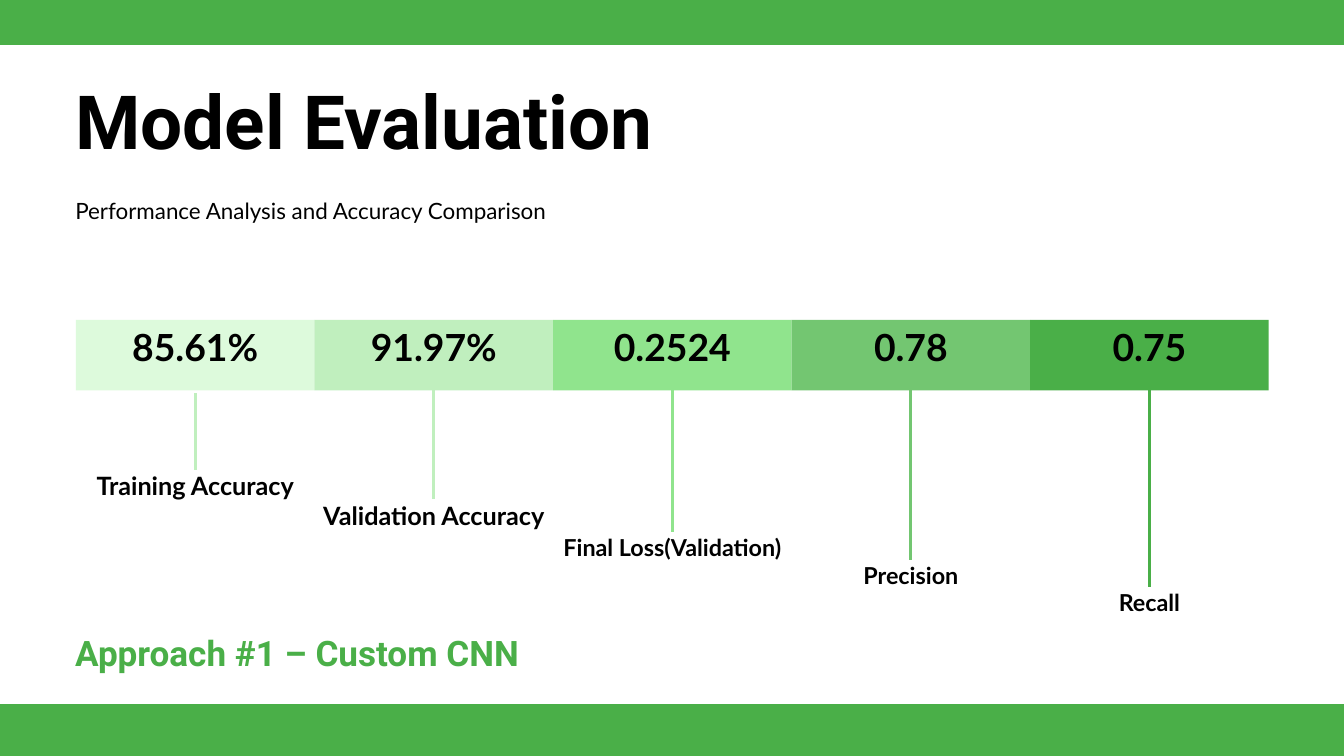
from dataclasses import dataclass

from lxml import etree
from pptx import Presentation
from pptx.dml.color import RGBColor
from pptx.enum.shapes import MSO_CONNECTOR, MSO_SHAPE
from pptx.enum.text import MSO_ANCHOR, PP_ALIGN
from pptx.oxml.ns import qn
from pptx.util import Inches, Pt

LINE = MSO_CONNECTOR.STRAIGHT
RECTANGLE = MSO_SHAPE.RECTANGLE
TOP, MIDDLE = MSO_ANCHOR.TOP, MSO_ANCHOR.MIDDLE
LEFT, CENTER = PP_ALIGN.LEFT, PP_ALIGN.CENTER


@dataclass(frozen=True)
class Theme:
    heading_font: str = "Roboto"
    body_font: str = "Lato"
    ink: str = "000000"
    green: str = "4AAF48"
    medium: str = "73C671"
    bright: str = "90E48D"
    soft: str = "C0EFBE"
    pale: str = "DDFADC"
    title: float = 80
    subtitle: float = 24
    value: float = 40
    large_label: float = 27
    small_label: float = 25
    approach: float = 37.6


theme = Theme()

prs = Presentation()
prs.slide_width, prs.slide_height = Inches(20), Inches(11.25)
slide = prs.slides.add_slide(prs.slide_layouts[6])


def add_text(text, left, top, width, height, size, spacing=1.4, font=theme.body_font,
             color=theme.ink, bold=True, align=CENTER, anchor=TOP, inset=0):
    frame = slide.shapes.add_textbox(
        Inches(left), Inches(top), Inches(width), Inches(height)).text_frame
    frame.word_wrap = True
    frame.vertical_anchor = anchor
    frame.margin_left = frame.margin_right = Inches(inset)
    frame.margin_top = frame.margin_bottom = Inches(inset)
    frame.text = text
    paragraph = frame.paragraphs[0]
    paragraph.alignment = align
    paragraph.line_spacing = Pt(size * spacing)
    run_font = paragraph.runs[0].font
    run_font.name, run_font.size, run_font.bold = font, Pt(size), bold
    run_font.color.rgb = RGBColor.from_string(color)


def add_block(left, top, width, height, color):
    block = slide.shapes.add_shape(
        RECTANGLE, Inches(left), Inches(top), Inches(width), Inches(height))
    block.shadow.inherit = False
    block.fill.solid()
    block.fill.fore_color.rgb = RGBColor.from_string(color)
    block.line.fill.background()


# Title and subtitle
margin = 1.12
add_text("Model Evaluation", margin, 1.12, 15.51, 1.49, theme.title, spacing=1.2,
         font=theme.heading_font, align=LEFT)
add_text("Performance Analysis and Accuracy Comparison", margin, 2.86, 15.55, 0.43,
         theme.subtitle, bold=False, align=LEFT)

# Metrics: value, label, block colour, stem colour, stem start and end, label top and size
metrics = [
    ("85.61%", "Training Accuracy", theme.pale, theme.soft, 5.85, 6.99, 6.92, theme.large_label),
    ("91.97%", "Validation Accuracy", theme.soft, theme.soft, 5.81, 7.43, 7.37, theme.large_label),
    ("0.2524", "Final Loss(Validation)", theme.bright, theme.bright, 5.81, 7.92, 7.87,
     theme.small_label),
    ("0.78", "Precision", theme.medium, theme.medium, 5.81, 8.33, 8.28, theme.small_label),
    ("0.75", "Recall", theme.green, theme.green, 5.81, 8.74, 8.69, theme.small_label),
]
bar_left, bar_top, bar_height = 1.13, 4.76, 1.05
column_width, label_width = 3.55, 3.46

for column, metric in enumerate(metrics):
    value, label, block_color, stem_color, stem_top, stem_end, label_top, label_size = metric
    left = bar_left + column * column_width
    center = left + column_width / 2

    add_block(left, bar_top, column_width, bar_height, block_color)
    add_text(value, left, 4.41, column_width, 1.39, theme.value, anchor=MIDDLE, inset=0.06)

    stem = slide.shapes.add_connector(
        LINE, Inches(center), Inches(stem_top), Inches(center), Inches(stem_end))
    stem.line.color.rgb = RGBColor.from_string(stem_color)
    stem.line.width = Pt(3)
    etree.SubElement(stem.element.spPr, qn("a:effectLst"))

    add_text(label, center - label_width / 2, label_top, label_width, 0.5, label_size)

# Approach caption
add_text("Approach #1 – Custom CNN", margin, 9.4, 7.3, 0.73, theme.approach, spacing=1.2,
         font=theme.heading_font, color=theme.green, align=LEFT)

# Top and bottom bands
for band_top in (-0.43, 10.48):
    add_block(0, band_top, 20, 1.1, theme.green)

prs.save("out.pptx")
